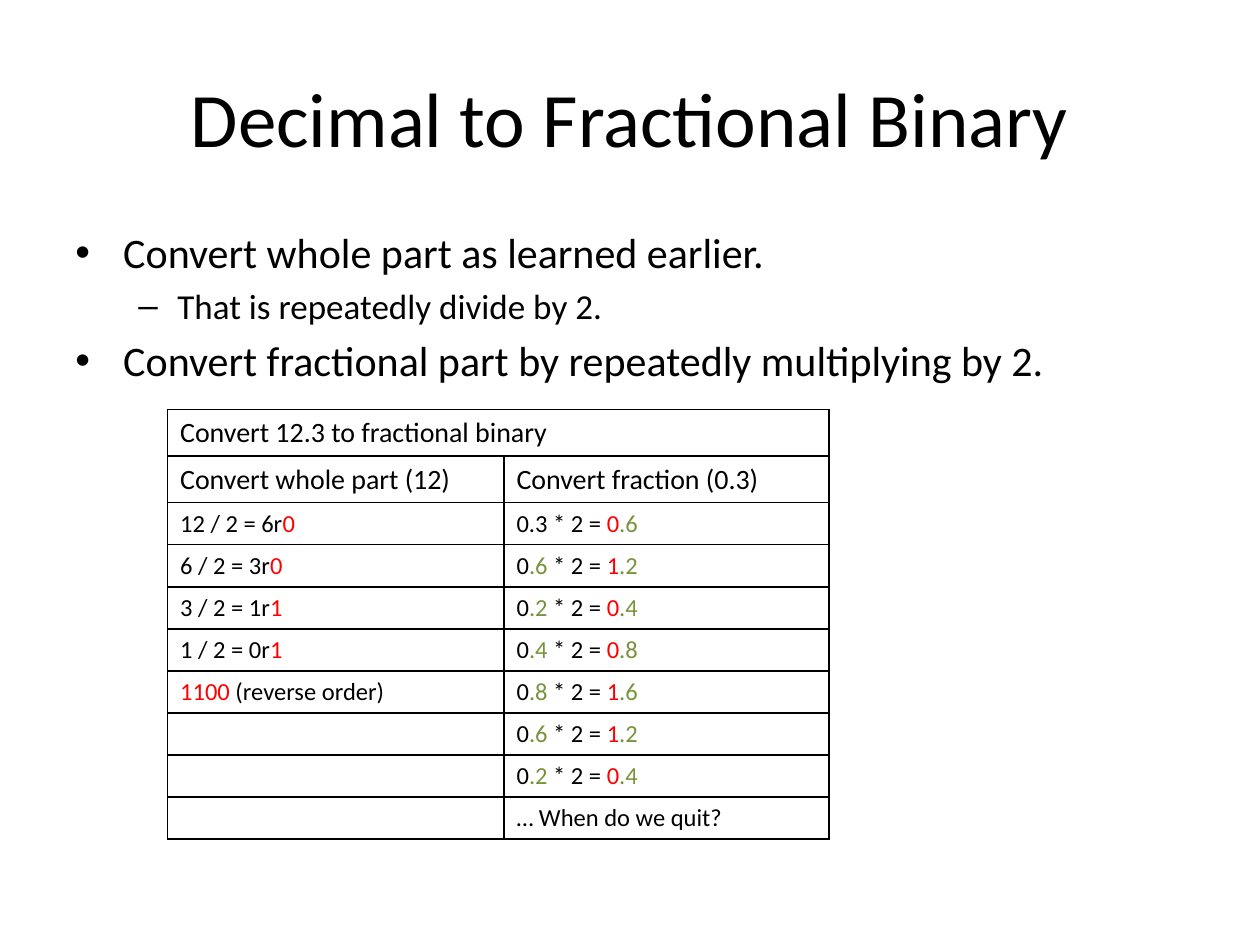
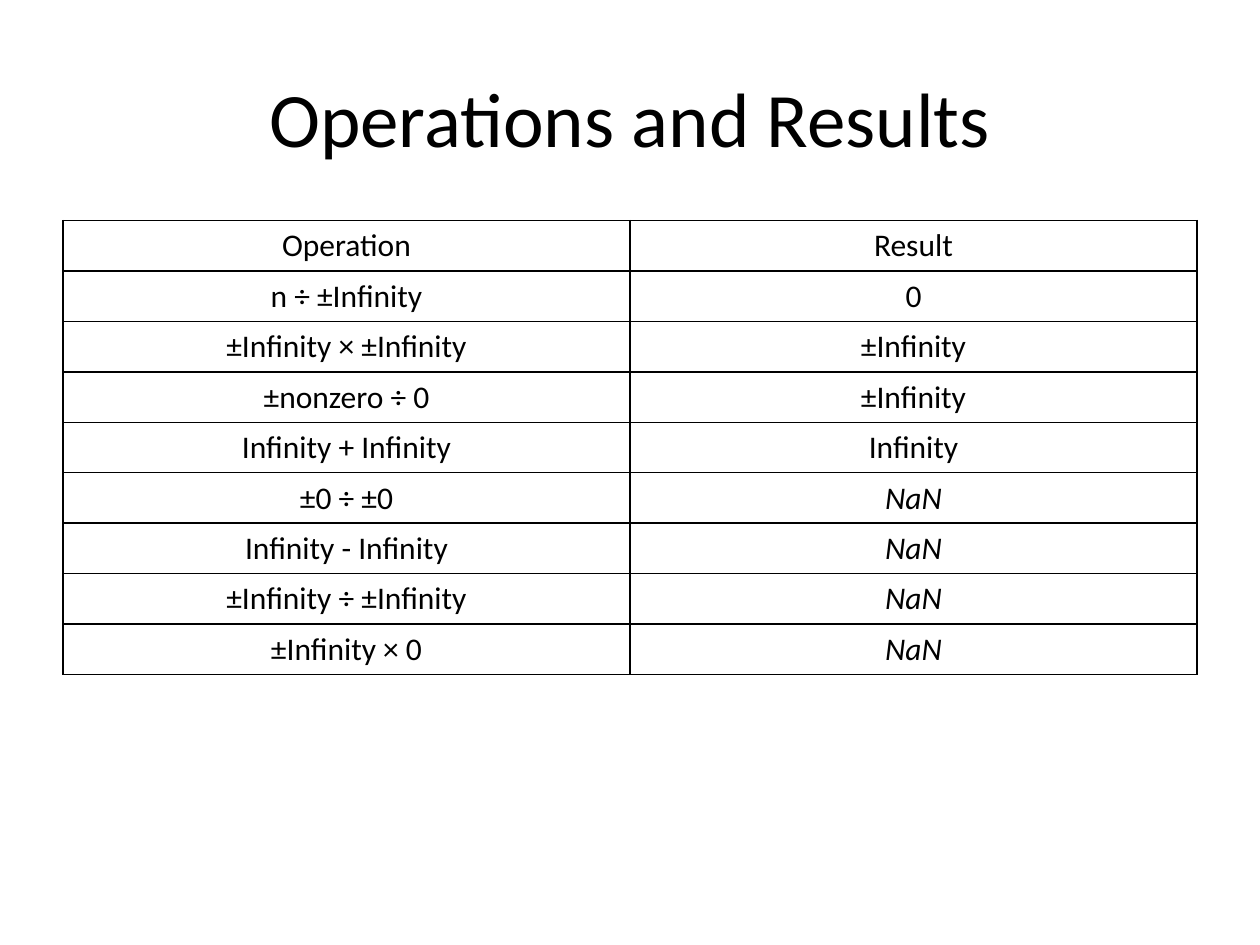
from lxml import etree
from pptx import Presentation
from pptx.dml.color import RGBColor
from pptx.enum.text import MSO_ANCHOR, PP_ALIGN
from pptx.oxml.ns import qn
from pptx.util import Emu, Pt

CENTER, LEFT = PP_ALIGN.CENTER, PP_ALIGN.LEFT
TOP, MIDDLE = MSO_ANCHOR.TOP, MSO_ANCHOR.MIDDLE

PX_PER_INCH = 100
EMU_PER_PX = 914400 // PX_PER_INCH
FONT = "Calibri"
COLORS = {"text": "000000", "digit": "FF0000", "fraction": "77933C", "border": "000000"}
BLANK_LAYOUT = 6
BORDER_WIDTH = Pt(1)
TITLE_AREA = (50, 30, 900, 125)
BODY_AREA = (50, 175, 900, 495)
BULLET_LEVELS = [
    {"mark": "•", "margin": 38, "hanging": 38, "size": 24},
    {"mark": "–", "margin": 81, "hanging": 31, "size": 20},
]


def px(length):
    return Emu(length * EMU_PER_PX)


def style_font(font, size, italic=False):
    font.name = FONT
    font.size = Pt(size)
    font.italic = italic
    font.color.rgb = RGBColor.from_string(COLORS["text"])


def add_text_box(page, area, anchor):
    box = page.shapes.add_textbox(*map(px, area))
    frame = box.text_frame
    frame.word_wrap = True
    frame.vertical_anchor = anchor
    return frame


def add_title(page, text):
    para = add_text_box(page, TITLE_AREA, MIDDLE).paragraphs[0]
    para.text = text
    para.alignment = CENTER
    style_font(para.font, 44)


def set_bullet(para, level):
    properties = para._p.get_or_add_pPr()
    properties.set("marL", str(px(level["margin"])))
    properties.set("indent", str(px(-level["hanging"])))
    etree.SubElement(properties, qn("a:buFont"), typeface="Arial")
    etree.SubElement(properties, qn("a:buChar"), char=level["mark"])


def add_bullets(page, items):
    frame = add_text_box(page, BODY_AREA, TOP)
    for index, (depth, text) in enumerate(items):
        para = frame.add_paragraph() if index else frame.paragraphs[0]
        level = BULLET_LEVELS[depth]
        para.text = text
        para.level = depth
        set_bullet(para, level)
        para.space_before = Pt(level["size"] * 0.2 if index else 0)
        style_font(para.font, level["size"])


def set_borders(cell):
    properties = cell._tc.get_or_add_tcPr()
    for side in ("lnL", "lnR", "lnT", "lnB"):
        line = etree.SubElement(properties, qn(f"a:{side}"), w=str(BORDER_WIDTH))
        fill = etree.SubElement(line, qn("a:solidFill"))
        etree.SubElement(fill, qn("a:srgbClr"), val=COLORS["border"])


def fill_cell(cell, spans, size, alignment, anchor):
    set_borders(cell)
    cell.fill.background()
    cell.vertical_anchor = anchor
    para = cell.text_frame.paragraphs[0]
    para.alignment = alignment
    style_font(para.font, size, italic=spans == [("NaN", "text")])
    for text, color in spans:
        span = para.add_run()
        span.text = text
        if color != "text":
            span.font.color.rgb = RGBColor.from_string(COLORS[color])
    if not spans:
        etree.SubElement(para._p, qn("a:endParaRPr"), sz=str(size * 100))


def add_grid(page, left, top, widths, heights, rows, sizes, alignment=LEFT, anchor=TOP):
    frame = page.shapes.add_table(
        len(rows), len(widths), px(left), px(top), px(sum(widths)), px(sum(heights)))
    table = frame.table
    table.first_row = False
    table.horz_banding = False
    for column, width in zip(table.columns, widths):
        column.width = px(width)
    for row, height, cells, size in zip(table.rows, heights, rows, sizes):
        row.height = px(height)
        for cell, spans in zip(row.cells, cells):
            fill_cell(cell, spans, size, alignment, anchor)
    return table


def plain(text):
    return [(text, "text")]


def division_steps(number):
    steps = []
    while number:
        quotient, remainder = divmod(number, 2)
        steps.append([(f"{number} / 2 = {quotient}r", "text"), (str(remainder), "digit")])
        number = quotient
    return steps


def multiplication_steps(tenths, count):
    steps = []
    for index in range(count):
        digit, product = divmod(tenths * 2, 10)
        fraction_color = "fraction" if index else "text"
        steps.append([("0", "text"), (f".{tenths}", fraction_color), (" * 2 = ", "text"),
                      (str(digit), "digit"), (f".{product}", "fraction")])
        tenths = product
    return steps


def build_conversion_page(page):
    add_title(page, "Decimal to Fractional Binary")
    add_bullets(page, [
        (0, "Convert whole part as learned earlier."),
        (1, "That is repeatedly divide by 2."),
        (0, "Convert fractional part by repeatedly multiplying by 2."),
    ])
    fraction_steps = multiplication_steps(3, 7) + [plain("… When do we quit?")]
    whole_steps = division_steps(12) + [[("1100", "digit"), (" (reverse order)", "text")]]
    whole_steps += [[]] * (len(fraction_steps) - len(whole_steps))
    rows = [
        (plain("Convert 12.3 to fractional binary"), []),
        (plain("Convert whole part (12)"), plain("Convert fraction (0.3)")),
        *zip(whole_steps, fraction_steps),
    ]
    step_count = len(fraction_steps)
    table = add_grid(page, 133, 325, [267, 258], [37] * 2 + [33] * step_count,
                     rows, [16] * 2 + [14] * step_count)
    table.cell(0, 0).merge(table.cell(0, 1))


def build_operations_page(page):
    add_title(page, "Operations and Results")
    operations = [
        ("Operation", "Result"),
        ("n ÷ ±Infinity", "0"),
        ("±Infinity × ±Infinity", "±Infinity"),
        ("±nonzero ÷ 0", "±Infinity"),
        ("Infinity + Infinity", "Infinity"),
        ("±0 ÷ ±0", "NaN"),
        ("Infinity - Infinity", "NaN"),
        ("±Infinity ÷ ±Infinity", "NaN"),
        ("±Infinity × 0", "NaN"),
    ]
    rows = [[plain(text) for text in pair] for pair in operations]
    add_grid(page, 50, 175, [450, 450], [40] * len(rows), rows, [18] * len(rows),
             CENTER, MIDDLE)


def main():
    deck = Presentation()
    deck.slide_width, deck.slide_height = px(1000), px(750)
    for build_page in (build_conversion_page, build_operations_page):
        build_page(deck.slides.add_slide(deck.slide_layouts[BLANK_LAYOUT]))
    deck.save("out.pptx")


if __name__ == "__main__":
    main()
